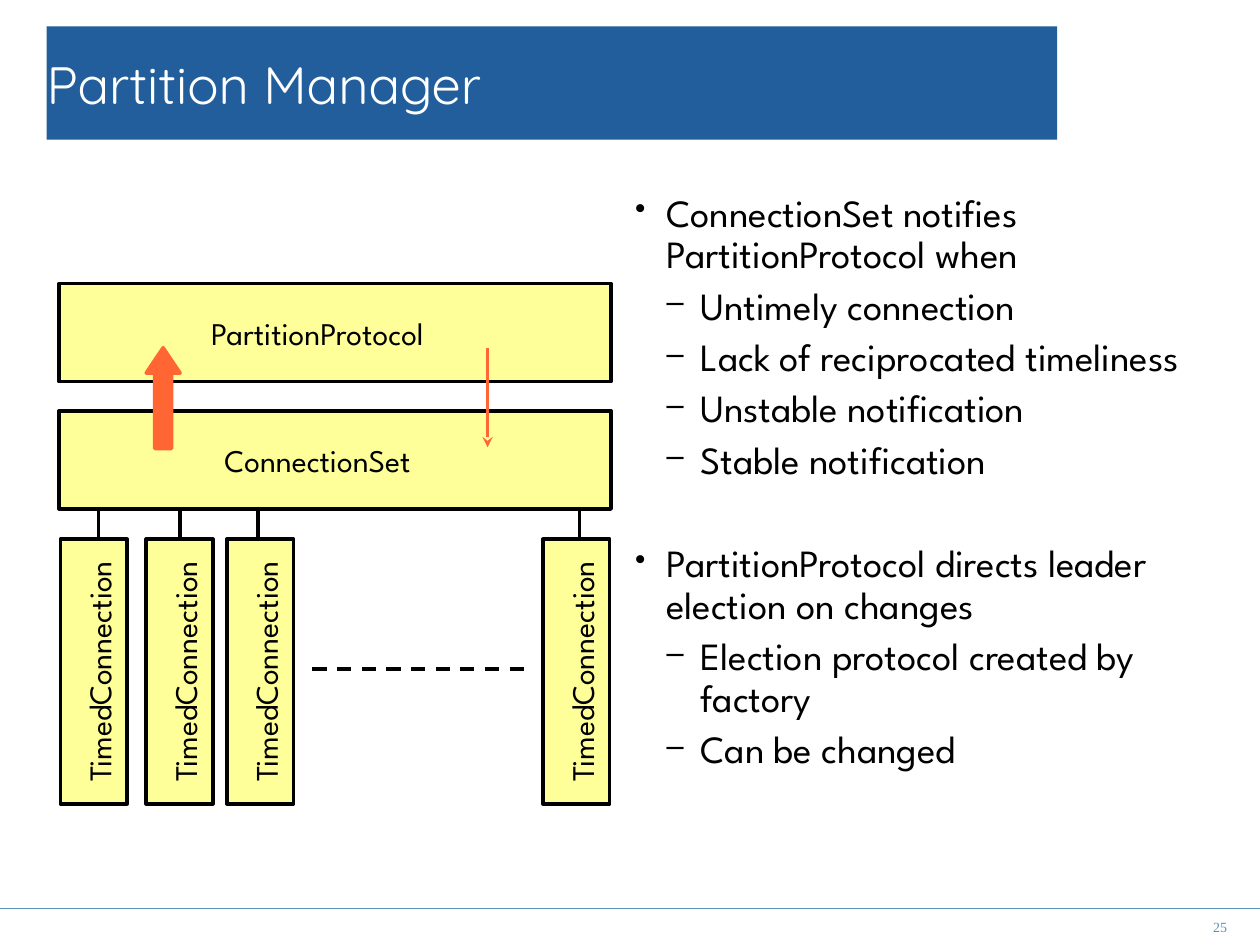
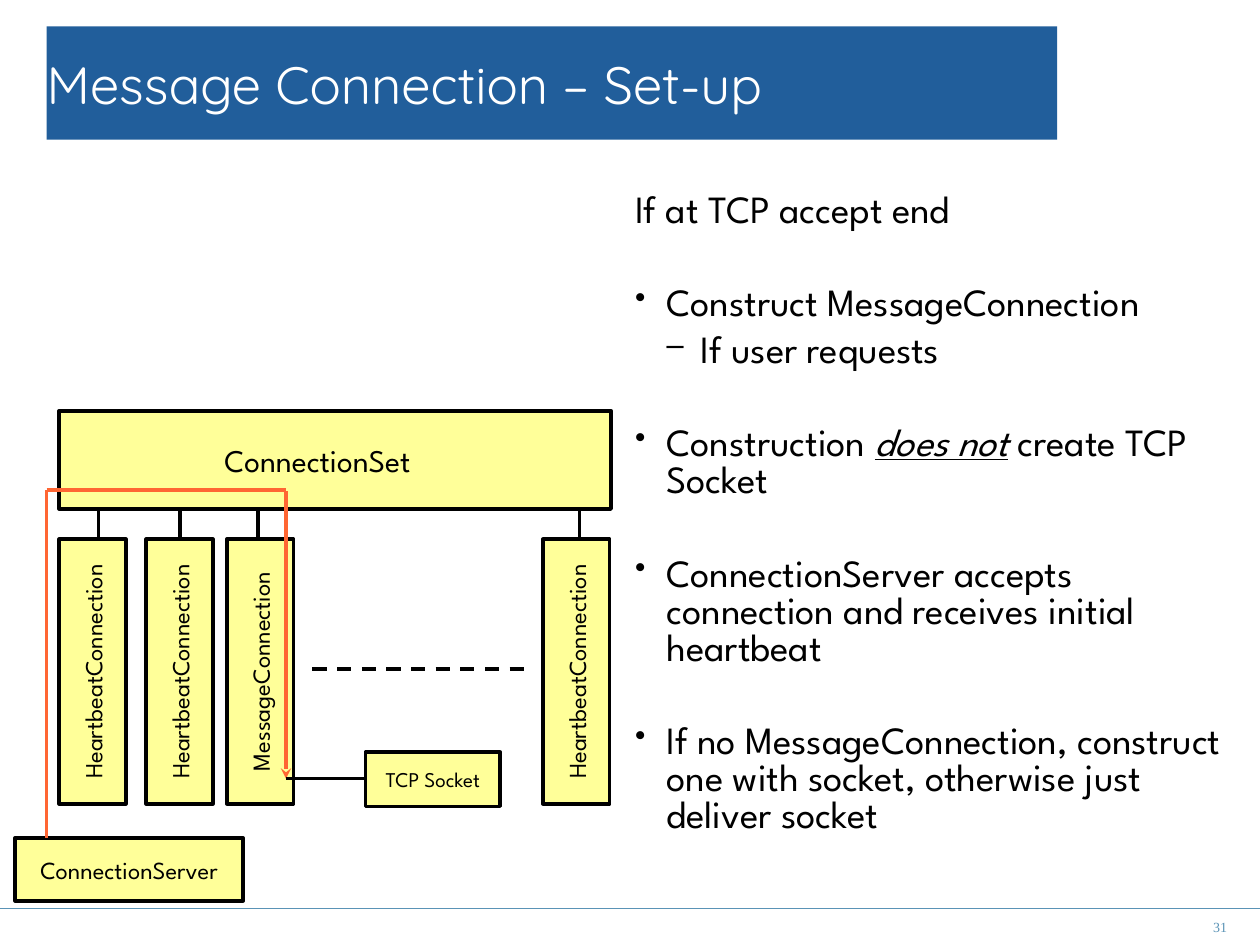
from dataclasses import dataclass

from pptx import Presentation
from pptx.dml.color import RGBColor
from pptx.enum.dml import MSO_LINE
from pptx.enum.shapes import MSO_CONNECTOR, MSO_SHAPE
from pptx.enum.text import MSO_ANCHOR, PP_ALIGN
from pptx.oxml.ns import qn
from pptx.util import Inches, Pt
from lxml.etree import SubElement

BANNER, BOX_FILL, INK = "215E9B", "FFFF99", "000000"
FLOW, FOOTER, WHITE = "FF6633", "5A93B6", "FFFFFF"
BODY_FONT, TITLE_FONT, FOOTER_FONT = "League Spartan", "Quicksand", "Times New Roman"

STRIP_TOP, STRIP_WIDTH, STRIP_HEIGHT = 4.28, 0.53, 2.1
STEM_XS = (0.78, 1.43, 2.05, 4.6)
STEM_TOP = 4.03


@dataclass(frozen=True)
class Box:
    label: str
    left: float
    top: float
    width: float
    height: float
    size: int = 18
    vertical: bool = False
    left_inset: float = 0
    right_inset: float = 0


@dataclass(frozen=True)
class Line:
    x1: float
    y1: float
    x2: float
    y2: float
    color: str = INK
    width: float = 2
    dashed: bool = False
    arrow: bool = False


@dataclass(frozen=True)
class Point:
    """A list entry; text between asterisks is emphasised."""
    text: str
    level: int = 0
    bullet: bool = True
    new_block: bool = False


def rgb(color: str) -> RGBColor:
    return RGBColor.from_string(color)


def set_font(paragraph, name: str, size: float, color: str) -> None:
    font = paragraph.font
    font.name, font.size = name, Pt(size)
    font.color.rgb = rgb(color)


def set_insets(frame, left: float = 0, top: float = 0, right: float = 0) -> None:
    frame.word_wrap = True
    frame.margin_left, frame.margin_top = Inches(left), Inches(top)
    frame.margin_right, frame.margin_bottom = Inches(right), Inches(0)


def add_filled(slide, kind: MSO_SHAPE, left: float, top: float, width: float,
               height: float, fill: str, outline: str | None = None):
    shape = slide.shapes.add_shape(
        kind, Inches(left), Inches(top), Inches(width), Inches(height))
    shape.shadow.inherit = False
    shape.fill.solid()
    shape.fill.fore_color.rgb = rgb(fill)
    if outline:
        shape.line.color.rgb = rgb(outline)
        shape.line.width = Pt(2)
    else:
        shape.line.fill.background()
    return shape


def add_box(slide, box: Box) -> None:
    shape = add_filled(slide, MSO_SHAPE.RECTANGLE, box.left, box.top,
                       box.width, box.height, BOX_FILL, INK)
    frame = shape.text_frame
    set_insets(frame, left=box.left_inset, right=box.right_inset)
    frame.vertical_anchor = MSO_ANCHOR.MIDDLE
    if box.vertical:
        frame._txBody.bodyPr.set("vert", "vert270")
    paragraph = frame.paragraphs[0]
    paragraph.text = box.label
    paragraph.alignment = PP_ALIGN.CENTER
    set_font(paragraph, BODY_FONT, box.size, INK)


def add_line(slide, line: Line) -> None:
    connector = slide.shapes.add_connector(
        MSO_CONNECTOR.STRAIGHT, Inches(line.x1), Inches(line.y1),
        Inches(line.x2), Inches(line.y2))
    connector.line.color.rgb = rgb(line.color)
    connector.line.width = Pt(line.width)
    if line.dashed:
        connector.line.dash_style = MSO_LINE.DASH
    properties = connector._element.spPr
    if line.arrow:
        SubElement(properties.find(qn("a:ln")), qn("a:tailEnd"), type="stealth")
    SubElement(properties, qn("a:effectLst"))


def add_bullet(paragraph, character: str) -> None:
    properties = paragraph._p.get_or_add_pPr()
    color = SubElement(properties, qn("a:buClr"))
    SubElement(color, qn("a:srgbClr"), val=INK)
    SubElement(properties, qn("a:buSzPct"), val="80000")
    SubElement(properties, qn("a:buChar"), char=character)


def add_points(slide, points: list[Point], width: float, line_spacing: float,
               block_gap: float) -> None:
    """Draw the list; block_gap is the space in points above a new block."""
    frame = slide.shapes.add_textbox(
        Inches(5.04), Inches(1.39), Inches(width), Inches(5.76)).text_frame
    set_insets(frame, top=0.15)
    for index, point in enumerate(points):
        paragraph = frame.add_paragraph() if index else frame.paragraphs[0]
        paragraph.level = point.level
        paragraph.line_spacing = line_spacing
        if index:
            paragraph.space_before = Pt(block_gap if point.new_block else 2.8)
        paragraph.space_after = Pt(2.8)
        margin, indent = ((0.25, -0.25), (0.52, -0.27))[point.level]
        properties = paragraph._p.get_or_add_pPr()
        properties.set("marL", str(Inches(margin)))
        properties.set("indent", str(Inches(indent)))
        if point.bullet:
            add_bullet(paragraph, "•–"[point.level])
        set_font(paragraph, BODY_FONT, 22, INK)
        for part, text in enumerate(point.text.split("*")):
            run = paragraph.add_run()
            run.text = text
            if part % 2:
                run.font.italic = run.font.underline = True


def start_slide(deck, title: str, number: int):
    """Add a slide with the title banner, footer rule and page number."""
    slide = deck.slides.add_slide(deck.slide_layouts[6])
    add_line(slide, Line(0, 7.21, 10, 7.21, FOOTER, 0.75))
    banner = add_filled(slide, MSO_SHAPE.RECTANGLE, 0.37, 0.21, 8.02, 0.9, BANNER)
    page = slide.shapes.add_textbox(
        Inches(9.3), Inches(7.28), Inches(0.44), Inches(0.15))
    for shape, text, align, font, size, color in (
            (banner, title, PP_ALIGN.LEFT, TITLE_FONT, 30, WHITE),
            (page, str(number), PP_ALIGN.RIGHT, FOOTER_FONT, 8, FOOTER)):
        frame = shape.text_frame
        set_insets(frame)
        frame.vertical_anchor = MSO_ANCHOR.MIDDLE
        paragraph = frame.paragraphs[0]
        paragraph.text = text
        paragraph.alignment = align
        set_font(paragraph, font, size, color)
    return slide


def add_layer(slide, label: str, top: float) -> None:
    add_box(slide, Box(label, 0.47, top, 4.38, 0.78, right_inset=0.28))


def add_connection_set(slide, labels: list[str], first_left: float, size: int,
                       left_inset: float = 0) -> None:
    """Draw the ConnectionSet layer with its connections hanging below."""
    add_layer(slide, "ConnectionSet", 3.26)
    for label, left in zip(labels, (first_left, 1.16, 1.8, 4.31)):
        add_box(slide, Box(label, left, STRIP_TOP, STRIP_WIDTH, STRIP_HEIGHT,
                           size, vertical=True, left_inset=left_inset))
    for x in STEM_XS:
        add_line(slide, Line(x, STRIP_TOP, x, STEM_TOP))
    add_line(slide, Line(2.48, 5.31, 4.18, 5.31, dashed=True))


def build_partition_manager(deck) -> None:
    slide = start_slide(deck, "Partition Manager", 25)
    add_points(slide, [
        Point("ConnectionSet notifies PartitionProtocol when"),
        Point("Untimely connection", 1),
        Point("Lack of reciprocated timeliness", 1),
        Point("Unstable notification", 1),
        Point("Stable notification", 1),
        Point("PartitionProtocol directs leader election on changes", new_block=True),
        Point("Election protocol created by factory", 1),
        Point("Can be changed", 1),
    ], width=4.77, line_spacing=0.9, block_gap=32.4)
    add_connection_set(slide, ["TimedConnection"] * 4, 0.48, 18, left_inset=0.08)
    add_layer(slide, "PartitionProtocol", 2.25)
    notify = add_filled(slide, MSO_SHAPE.UP_ARROW, 1.16, 2.76, 0.27, 0.8, FLOW, FLOW)
    notify.adjustments[0], notify.adjustments[1] = 0.5, 0.745
    add_line(slide, Line(3.87, 2.76, 3.87, 3.55, FLOW, arrow=True))


def build_message_connection(deck) -> None:
    slide = start_slide(deck, "Message Connection – Set-up", 31)
    add_points(slide, [
        Point("If at TCP accept end", bullet=False),
        Point("Construct MessageConnection", new_block=True),
        Point("If user requests", 1),
        Point("Construction *does not* create TCP Socket", new_block=True),
        Point("ConnectionServer accepts connection and receives initial heartbeat",
              new_block=True),
        Point("If no MessageConnection, construct one with socket, "
              "otherwise just deliver socket", new_block=True),
    ], width=4.81, line_spacing=0.8, block_gap=29.4)
    heartbeat = "HeartbeatConnection"
    add_connection_set(
        slide, [heartbeat, heartbeat, "MessageConnection", heartbeat], 0.47, 14)
    add_box(slide, Box("ConnectionServer", 0.12, 6.65, 1.81, 0.5, 14))
    add_box(slide, Box("TCP Socket", 2.9, 5.97, 1.07, 0.43, 12))
    add_line(slide, Line(0.37, 3.89, 2.27, 3.89, FLOW))
    add_line(slide, Line(0.37, 3.89, 0.37, 6.65, FLOW))
    add_line(slide, Line(2.27, 3.9, 2.27, 6.18, FLOW, arrow=True))
    add_line(slide, Line(2.27, 6.18, 2.9, 6.18))


def main() -> None:
    deck = Presentation()
    deck.slide_width, deck.slide_height = Inches(10), Inches(7.5)
    build_partition_manager(deck)
    build_message_connection(deck)
    deck.save("out.pptx")


if __name__ == "__main__":
    main()
